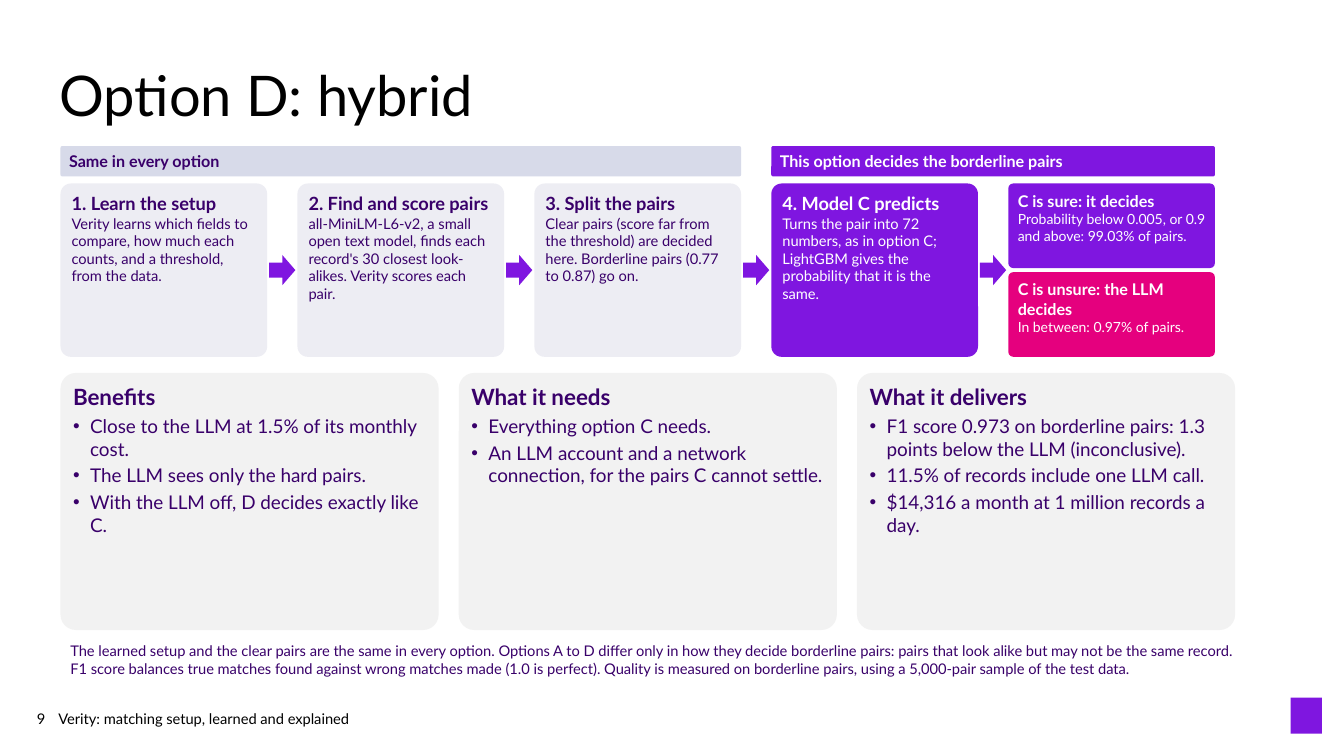
"""Build the slide that explains option D, the hybrid of model C and the LLM."""
import lxml.etree
import pptx
import pptx.dml.color
import pptx.enum.shapes
import pptx.enum.text
import pptx.oxml.ns
import pptx.util

RGBColor = pptx.dml.color.RGBColor
Inches = pptx.util.Inches
Pt = pptx.util.Pt
qn = pptx.oxml.ns.qn
SHAPE = pptx.enum.shapes.MSO_SHAPE
ANCHOR = pptx.enum.text.MSO_ANCHOR
ALIGN = pptx.enum.text.PP_ALIGN

BLACK = RGBColor(0x00, 0x00, 0x00)
WHITE = RGBColor(0xFF, 0xFF, 0xFF)
INK = RGBColor(0x39, 0x00, 0x6A)
PURPLE = RGBColor(0x7F, 0x16, 0xE0)
PINK = RGBColor(0xE5, 0x00, 0x7E)
LAVENDER = RGBColor(0xD7, 0xDA, 0xE9)
MIST = RGBColor(0xED, 0xED, 0xF3)
GREY = RGBColor(0xF2, 0xF2, 0xF2)

FONT = "Lato"
CORNER = 0.06
LEFT = 0.6
STEP_WIDTH, STEP_GAP = 2.05, 0.3
STEP_PITCH = STEP_WIDTH + STEP_GAP
STEP_TOP, STEP_HEIGHT = 1.82, 1.72
BANNER_TOP, BANNER_HEIGHT = 1.45, 0.3
ARROW_WIDTH, ARROW_HEIGHT = 0.26, 0.3
OUTCOME_HEIGHT, OUTCOME_GAP = 0.84, 0.04
CARD_TOP, CARD_WIDTH, CARD_HEIGHT, CARD_GAP = 3.7, 3.75, 2.55, 0.2

deck = pptx.Presentation()
deck.slide_width, deck.slide_height = Inches(13.33), Inches(7.5)
slide = deck.slides.add_slide(deck.slide_layouts[4])


def block(kind, left, top, width, height, fill):
    shape = slide.shapes.add_shape(kind, Inches(left), Inches(top), Inches(width), Inches(height))
    shape.shadow.inherit = False
    shape.fill.solid()
    shape.fill.fore_color.rgb = fill
    shape.line.fill.background()
    if kind == SHAPE.ROUNDED_RECTANGLE:
        shape.adjustments[0] = CORNER
    return shape


def write(frame, lines, colour, insets=(0.08, 0.06), anchor=ANCHOR.TOP, bulleted=False):
    frame.word_wrap = True
    frame.auto_size = pptx.enum.text.MSO_AUTO_SIZE.NONE
    frame.vertical_anchor = anchor
    frame.margin_left = frame.margin_right = Inches(insets[0])
    frame.margin_top = frame.margin_bottom = Inches(insets[1])
    frame.text = "\n".join(text for text, size, bold in lines)
    for order, (paragraph, (text, size, bold)) in enumerate(zip(frame.paragraphs, lines)):
        has_bullet = bulleted and order > 0
        properties = paragraph._p.get_or_add_pPr()
        indent = Inches(0.17) if has_bullet else 0
        properties.set("marL", str(indent))
        properties.set("indent", str(-indent))
        if has_bullet:
            lxml.etree.SubElement(properties, qn("a:buChar"), char="•")
        else:
            lxml.etree.SubElement(properties, qn("a:buNone"))
        paragraph.alignment = ALIGN.LEFT
        paragraph.space_before = Pt(3 if has_bullet else 0)
        font = paragraph.runs[0].font
        font.name, font.size, font.bold = FONT, Pt(size), bold
        font.color.rgb = colour


title = slide.shapes.title
title.left, title.top = Inches(0.59), Inches(0.68)
title.width, title.height = Inches(11.69), Inches(0.7)
write(title.text_frame, [("Option D: hybrid", 40, False)], BLACK, (0, 0))
title.text_frame.paragraphs[0].line_spacing = 0.9

banners = [
    ("Same in every option", 0, 3, LAVENDER, INK),
    ("This option decides the borderline pairs", 3, 2, PURPLE, WHITE),
]
for label, column, span, fill, colour in banners:
    banner = block(SHAPE.ROUNDED_RECTANGLE, LEFT + column * STEP_PITCH, BANNER_TOP,
                   span * STEP_PITCH - STEP_GAP, BANNER_HEIGHT, fill)
    write(banner.text_frame, [(label, 11.5, True)], colour, anchor=ANCHOR.MIDDLE)

steps = [
    ("1. Learn the setup",
     "Verity learns which fields to compare, how much each counts, and a threshold, from the data.",
     MIST, INK),
    ("2. Find and score pairs",
     "all-MiniLM-L6-v2, a small open text model, finds each record's 30 closest look-alikes. "
     "Verity scores each pair.", MIST, INK),
    ("3. Split the pairs",
     "Clear pairs (score far from the threshold) are decided here. "
     "Borderline pairs (0.77 to 0.87) go on.", MIST, INK),
    ("4. Model C predicts",
     "Turns the pair into 72 numbers, as in option C; LightGBM gives the probability "
     "that it is the same.", PURPLE, WHITE),
]
for column, (heading, detail, fill, colour) in enumerate(steps):
    step_left = LEFT + column * STEP_PITCH
    step = block(SHAPE.ROUNDED_RECTANGLE, step_left, STEP_TOP, STEP_WIDTH, STEP_HEIGHT, fill)
    write(step.text_frame, [(heading, 13, True), (detail, 10.5, False)], colour)
    block(SHAPE.RIGHT_ARROW, step_left + STEP_WIDTH + (STEP_GAP - ARROW_WIDTH) / 2,
          STEP_TOP + (STEP_HEIGHT - ARROW_HEIGHT) / 2, ARROW_WIDTH, ARROW_HEIGHT, PURPLE)

outcomes = [
    ("C is sure: it decides", "Probability below 0.005, or 0.9 and above: 99.03% of pairs.", PURPLE),
    ("C is unsure: the LLM decides", "In between: 0.97% of pairs.", PINK),
]
for row, (heading, detail, fill) in enumerate(outcomes):
    outcome = block(SHAPE.ROUNDED_RECTANGLE, LEFT + len(steps) * STEP_PITCH,
                    STEP_TOP + row * (OUTCOME_HEIGHT + OUTCOME_GAP),
                    STEP_WIDTH, OUTCOME_HEIGHT, fill)
    write(outcome.text_frame, [(heading, 11.5, True), (detail, 10, False)], WHITE)

cards = [
    ("Benefits", ["Close to the LLM at 1.5% of its monthly cost.",
                  "The LLM sees only the hard pairs.",
                  "With the LLM off, D decides exactly like C."]),
    ("What it needs", ["Everything option C needs.",
                       "An LLM account and a network connection, for the pairs C cannot settle."]),
    ("What it delivers", ["F1 score 0.973 on borderline pairs: 1.3 points below the LLM (inconclusive).",
                          "11.5% of records include one LLM call.",
                          "$14,316 a month at 1 million records a day."]),
]
*bodies, spare = list(slide.placeholders)[1:]
spare.element.getparent().remove(spare.element)
for column, (card, (heading, points)) in enumerate(zip(bodies, cards)):
    card.left, card.top = Inches(LEFT + column * (CARD_WIDTH + CARD_GAP)), Inches(CARD_TOP)
    card.width, card.height = Inches(CARD_WIDTH), Inches(CARD_HEIGHT)
    outline = lxml.etree.SubElement(card.element.spPr, qn("a:prstGeom"), prst="roundRect")
    corners = lxml.etree.SubElement(outline, qn("a:avLst"))
    lxml.etree.SubElement(corners, qn("a:gd"), name="adj", fmla=f"val {round(CORNER * 100000)}")
    card.fill.solid()
    card.fill.fore_color.rgb = GREY
    write(card.text_frame, [(heading, 16, True)] + [(point, 13.5, False) for point in points],
          INK, bulleted=True)

small_print = [
    ("The learned setup and the clear pairs are the same in every option. Options A to D differ only "
     "in how they decide borderline pairs: pairs that look alike but may not be the same record. "
     "F1 score balances true matches found against wrong matches made (1.0 is perfect). "
     "Quality is measured on borderline pairs, using a 5,000-pair sample of the test data.",
     LEFT, 6.32, 11.9, 0.66, INK, (0.1, 0.05), ALIGN.LEFT),
    ("Verity: matching setup, learned and explained",
     0.58, 7.04, 4.5, 0.26, BLACK, (0, 0), ALIGN.LEFT),
    ("9", 0, 7.04, 0.45, 0.3, BLACK, (0, 0), ALIGN.RIGHT),
]
for text, left, top, width, height, colour, insets, alignment in small_print:
    note = slide.shapes.add_textbox(Inches(left), Inches(top), Inches(width), Inches(height))
    write(note.text_frame, [(text, 10.5, False)], colour, insets)
    note.text_frame.paragraphs[0].alignment = alignment

block(SHAPE.RECTANGLE, 12.8, 6.92, 0.31, 0.36, PURPLE)

deck.save("out.pptx")
